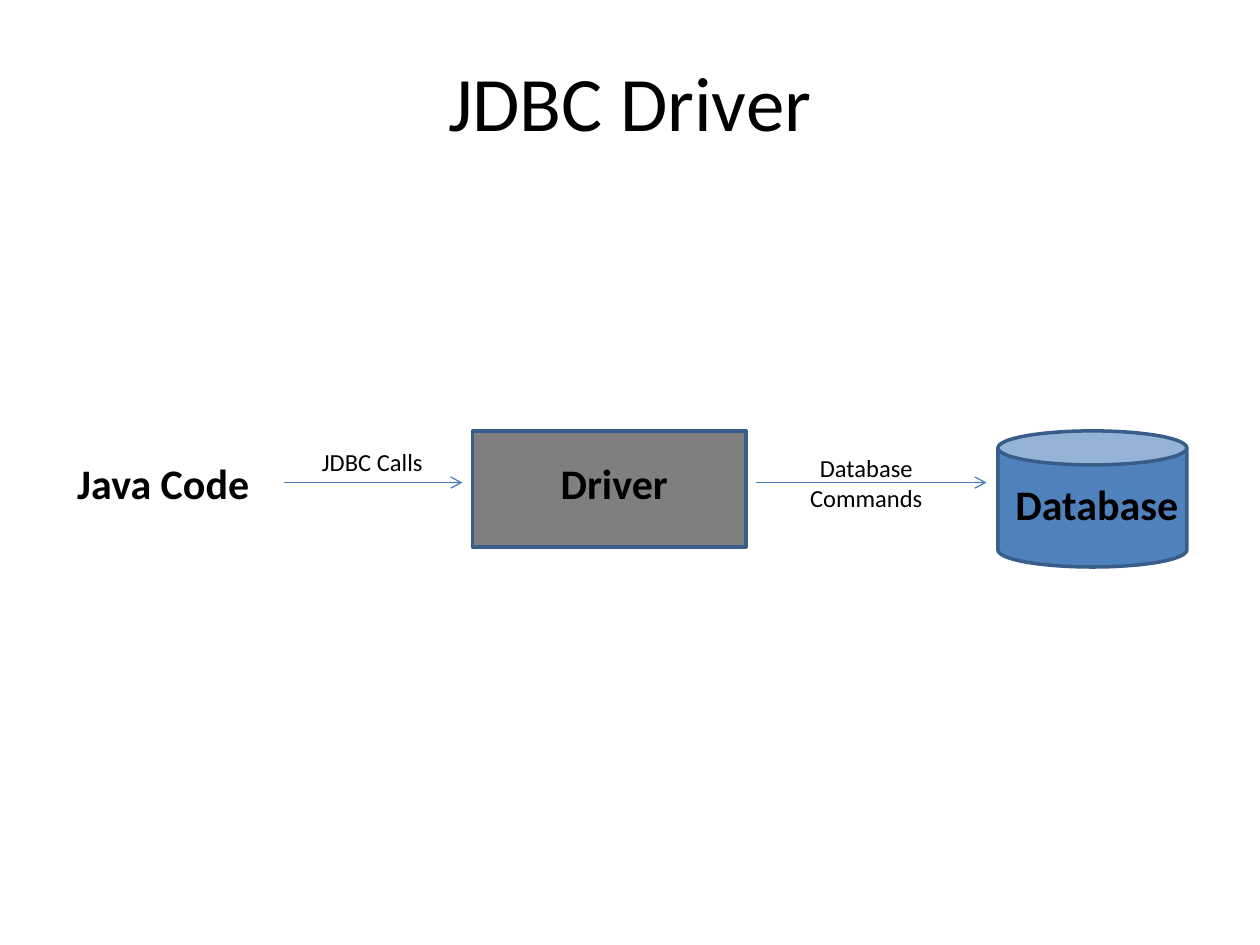
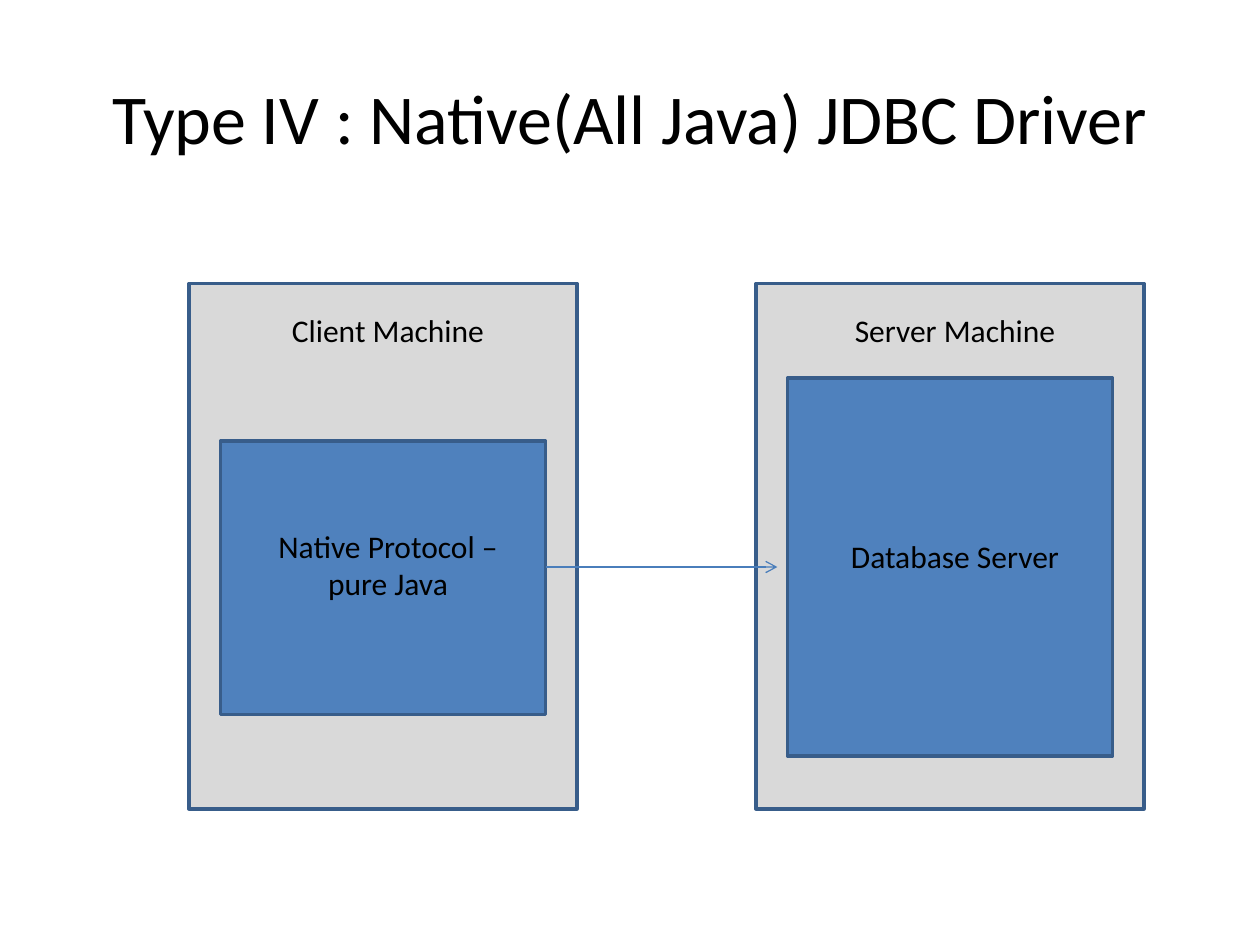
import pptx
import pptx.util
import pptx.dml.color
import pptx.enum.shapes
import pptx.enum.text
import pptx.oxml.ns
import lxml.etree

Inches = pptx.util.Inches
Pt = pptx.util.Pt
SHAPE = pptx.enum.shapes.MSO_SHAPE

FONT = "Calibri"
COLORS = {
    "text": "000000",
    "outline": "385D8A",
    "arrow": "4A7EBB",
    "blue": "4F81BD",
    "driver": "7F7F7F",
    "machine": "D9D9D9",
}


def color(name):
    return pptx.dml.color.RGBColor.from_string(COLORS[name])


def add_label(shapes, text, left, top, width, height, size, bold=False):
    """Add centred text; the frame and its insets match every label and title."""
    box = shapes.add_textbox(Inches(left), Inches(top), Inches(width), Inches(height))
    frame = box.text_frame
    frame.word_wrap = True
    frame.text = text
    para = frame.paragraphs[0]
    para.alignment = pptx.enum.text.PP_ALIGN.CENTER
    font = para.runs[0].font
    font.name = FONT
    font.size = Pt(size)
    font.bold = bold
    font.color.rgb = color("text")
    return box


def add_title(slide, text, top, size):
    box = add_label(slide.shapes, text, 0.5, top, 9, 1.25, size)
    box.text_frame.vertical_anchor = pptx.enum.text.MSO_ANCHOR.MIDDLE


def add_block(shapes, kind, fill, left, top, width, height):
    block = shapes.add_shape(kind, Inches(left), Inches(top), Inches(width), Inches(height))
    block.shadow.inherit = False
    block.fill.solid()
    block.fill.fore_color.rgb = color(fill)
    block.line.color.rgb = color("outline")
    block.line.width = Pt(2)
    return block


def add_arrow(slide, start, end, y):
    arrow = slide.shapes.add_connector(
        pptx.enum.shapes.MSO_CONNECTOR.STRAIGHT,
        Inches(start), Inches(y), Inches(end), Inches(y))
    arrow.line.color.rgb = color("arrow")
    arrow.line.width = Pt(0.75)
    qn = pptx.oxml.ns.qn
    properties = arrow._element.spPr
    lxml.etree.SubElement(properties.find(qn("a:ln")), qn("a:tailEnd"), type="arrow")
    lxml.etree.SubElement(properties, qn("a:effectLst"))


def add_machine(slide, name, left, content, content_top, content_height, text_top, text_height):
    """Add a grey machine with its name and one blue component inside it."""
    shapes = slide.shapes
    add_block(shapes, SHAPE.RECTANGLE, "machine", left, 2.25, 3.08, 4.17)
    add_block(shapes, SHAPE.RECTANGLE, "blue", left + 0.25, content_top, 2.58, content_height)
    add_label(shapes, content, left + 0.58, text_top, 2, text_height, 18)
    add_label(shapes, name, left + 0.58, 2.42, 2, 0.4, 18)


def build_driver_slide(slide):
    add_title(slide, "JDBC Driver", 0.17, 44)

    driver = slide.shapes.add_group_shape().shapes
    add_block(driver, SHAPE.RECTANGLE, "driver", 3.75, 3.42, 2.17, 0.92)
    add_label(driver, "Driver", 4, 3.58, 1.75, 0.5, 24, bold=True)

    add_block(slide.shapes, SHAPE.CAN, "blue", 7.92, 3.42, 1.5, 1.08)
    add_label(slide.shapes, "Database", 7.83, 3.75, 1.75, 0.5, 24, bold=True)
    add_label(slide.shapes, "Java Code", 0.42, 3.58, 1.75, 0.5, 24, bold=True)

    add_arrow(slide, 2.25, 3.67, 3.83)
    add_arrow(slide, 6, 7.83, 3.83)
    add_label(slide.shapes, "JDBC Calls", 2.33, 3.5, 1.25, 0.34, 14)
    add_label(slide.shapes, "Database Commands", 6.25, 3.55, 1.25, 0.57, 14)


def build_native_slide(slide):
    add_title(slide, "Type IV : Native(All Java) JDBC Driver", 0.3, 40)
    add_machine(slide, "Client Machine", 1.5, "Native Protocol – pure Java", 3.5, 2.17, 4.13, 0.7)
    add_machine(slide, "Server Machine", 6, "Database Server", 3, 3, 4.21, 0.4)
    add_arrow(slide, 4.33, 6.17, 4.5)


def main():
    deck = pptx.Presentation()
    deck.slide_width = Inches(10)
    deck.slide_height = Inches(7.5)
    blank = deck.slide_layouts[6]
    for build in (build_driver_slide, build_native_slide):
        build(deck.slides.add_slide(blank))
    deck.save("out.pptx")


if __name__ == "__main__":
    main()
